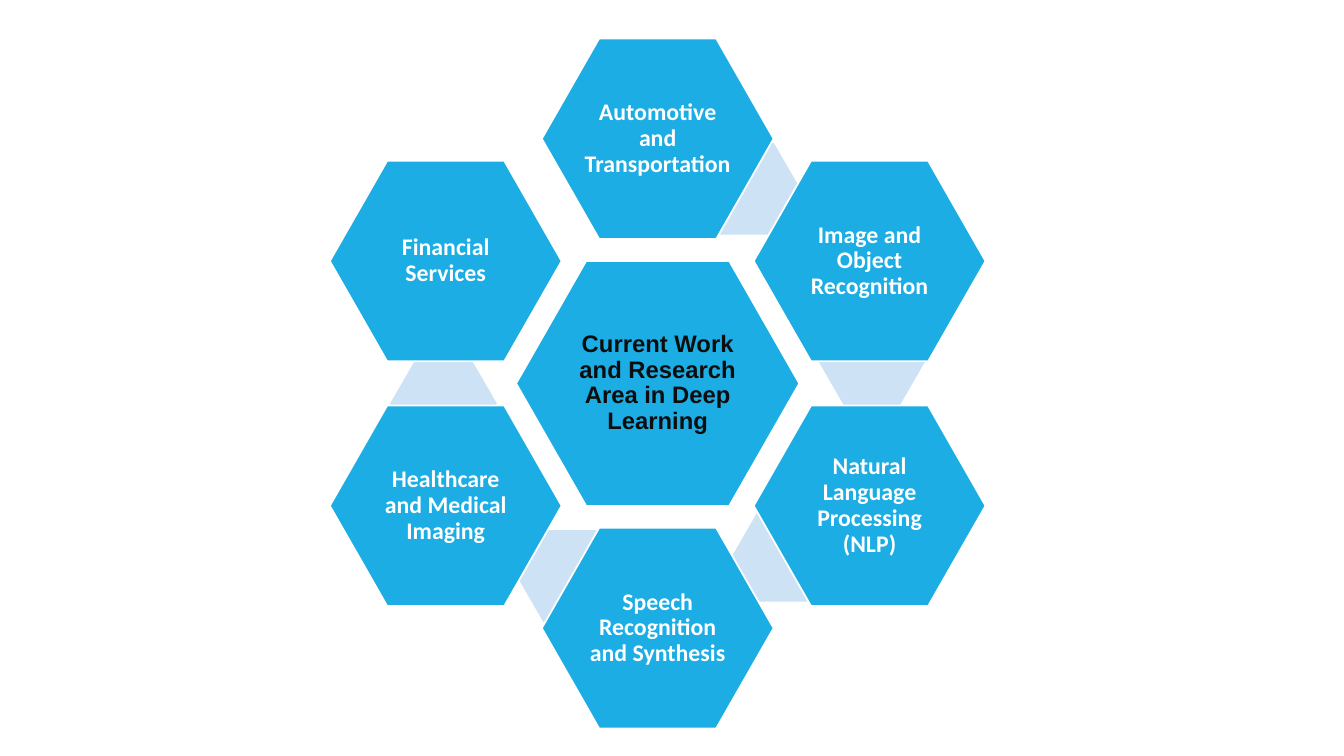
import math
from dataclasses import dataclass

import pptx
import pptx.dml.color
import pptx.enum.shapes
import pptx.enum.text
import pptx.util

Pt = pptx.util.Pt
MID_X, MID_Y = 469.8, 273.9
RADIUS = 174.8
BLUE, PALE, WHITE, INK = "1CADE4", "CDE3F5", "FFFFFF", "0D0D0D"


@dataclass
class Hex:
    x: float
    y: float
    width: float
    height: float
    fill: str
    adjust: float = 0.286
    edge: str = ""
    text: str = ""
    font: str = "Calibri"
    ink: str = WHITE


def color(code: str) -> pptx.dml.color.RGBColor:
    return pptx.dml.color.RGBColor.from_string(code)


def label(frame, item: Hex) -> None:
    frame.word_wrap = True
    frame.vertical_anchor = pptx.enum.text.MSO_ANCHOR.MIDDLE
    frame.margin_left = frame.margin_right = Pt(1.7)
    frame.margin_top = frame.margin_bottom = Pt(1.7)
    para = frame.paragraphs[0]
    para.alignment = pptx.enum.text.PP_ALIGN.CENTER
    para.line_spacing = 0.9
    para.space_after = Pt(6)
    run = para.add_run()
    run.text = item.text
    run.font.name = item.font
    run.font.size = Pt(17)
    run.font.bold = True
    run.font.color.rgb = color(item.ink)


def draw(slide, item: Hex) -> None:
    shape = slide.shapes.add_shape(
        pptx.enum.shapes.MSO_SHAPE.HEXAGON,
        Pt(MID_X + item.x - item.width / 2),
        Pt(MID_Y + item.y - item.height / 2),
        Pt(item.width),
        Pt(item.height),
    )
    shape.adjustments[0] = item.adjust
    shape.shadow.inherit = False
    shape.fill.solid()
    shape.fill.fore_color.rgb = color(item.fill)
    if item.edge:
        shape.line.color.rgb = color(item.edge)
        shape.line.width = Pt(1.25)
    else:
        shape.line.fill.background()
    if item.text:
        label(shape.text_frame, item)


def main() -> None:
    deck = pptx.Presentation()
    deck.slide_width, deck.slide_height = Pt(960), Pt(540)
    slide = deck.slides.add_slide(deck.slide_layouts[6])

    hub = Hex(0, 0, 202.3, 175, BLUE, edge=WHITE, font="Arial", ink=INK,
              text="Current Work and Research Area in Deep Learning")
    spots = [(63.8, -139), (153, -15.8), (91.3, 123.2), (-62.5, 137.6), (-153, 14.4)]
    links = [Hex(x, y, 76.3, 65.5, PALE, adjust=0.289) for x, y in spots]
    topics = [
        "Automotive and Transportation",
        "Image and Object Recognition",
        "Natural Language Processing (NLP)",
        "Speech Recognition and Synthesis",
        "Healthcare and Medical Imaging",
        "Financial Services",
    ]
    nodes = []
    for index, topic in enumerate(topics):
        angle = math.radians(60 * index)
        x, y = RADIUS * math.sin(angle), -RADIUS * math.cos(angle)
        nodes.append(Hex(x, y, 165.6, 143.3, BLUE, edge=WHITE, text=topic))

    for item in [hub, *links, *nodes]:
        draw(slide, item)
    deck.save("out.pptx")


if __name__ == "__main__":
    main()
